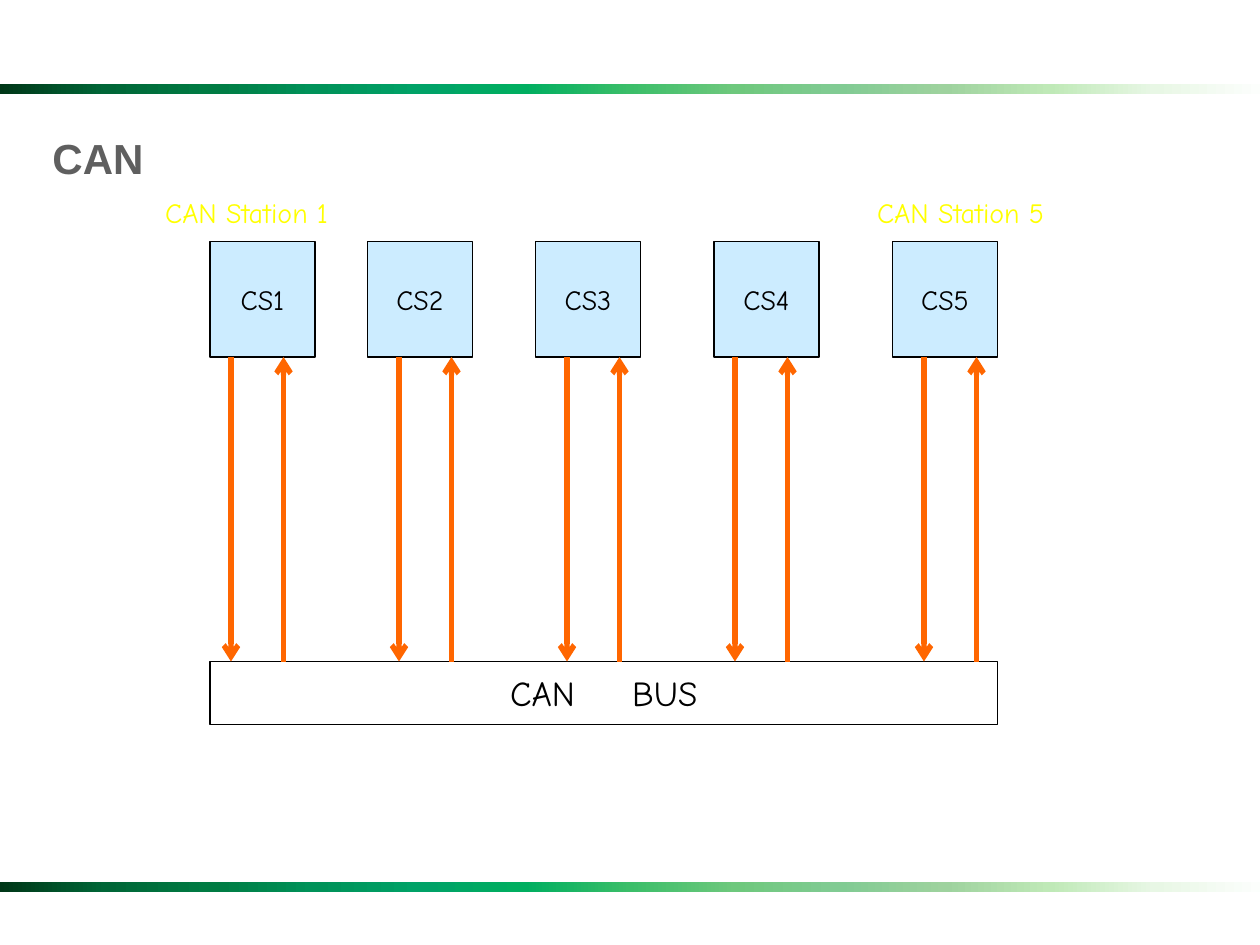
import itertools

import pptx
import pptx.util
import pptx.dml.color
import pptx.enum.shapes
import pptx.enum.text
import pptx.oxml.ns
from lxml import etree

RGB = pptx.dml.color.RGBColor
BLACK = RGB(0x00, 0x00, 0x00)
WHITE = RGB(0xFF, 0xFF, 0xFF)
GREY = RGB(0x5F, 0x5F, 0x5F)
YELLOW = RGB(0xFF, 0xFF, 0x00)
ORANGE = RGB(0xFF, 0x66, 0x00)
LIGHT_BLUE = RGB(0xCC, 0xEC, 0xFF)
BAND_COLORS = [RGB.from_string(code) for code in (
    "003718", "006637", "007B43", "009259", "00A267", "00AE60", "3BBE69",
    "6EC87D", "81CB93", "9ED29E", "BFE9B7", "E8F7E5", "FCFEFC")]

COLUMNS, ROWS = 120, 90
BUS_TOP, STATION_TOP, STATION_HEIGHT = 63, 23, 11
STATION_LEFTS = (20, 35, 51, 68, 85)
SEND_COLUMNS = (22, 38, 54, 70, 88)
RECEIVE_OFFSET = 5


class Diagram:
    """Draws on one slide; all places are columns and rows of the grid."""
    body_font = "Comic Neue"
    title_font = "Arial"

    def __init__(self, presentation):
        self.slide = presentation.slides.add_slide(presentation.slide_layouts[6])
        self.column = presentation.slide_width / COLUMNS
        self.row = presentation.slide_height / ROWS

    def place(self, left, top, width, height):
        return (round(left * self.column), round(top * self.row),
                round(width * self.column), round(height * self.row))

    def rectangle(self, *cells):
        shape = self.slide.shapes.add_shape(
            pptx.enum.shapes.MSO_SHAPE.RECTANGLE, *self.place(*cells))
        shape.shadow.inherit = False
        return shape

    def style_runs(self, frame, size, color, font, bold=False):
        for run in frame.paragraphs[0].runs:
            run.font.size = pptx.util.Pt(size)
            run.font.color.rgb = color
            run.font.name = font
            run.font.bold = bold

    def band(self, top):
        """A full-width strip that blends through the band colours."""
        width = COLUMNS / (len(BAND_COLORS) - 1)
        for index, colors in enumerate(itertools.pairwise(BAND_COLORS)):
            piece = self.rectangle(index * width, top, width, 1)
            piece.line.fill.background()
            piece.fill.gradient()
            piece.fill.gradient_angle = 0
            for stop, color in zip(piece.fill.gradient_stops, colors):
                stop.color.rgb = color

    def box(self, words, size, fill, *cells, word_gap=0):
        """A framed box; word_gap widens the spaces between words, in points."""
        shape = self.rectangle(*cells)
        shape.fill.solid()
        shape.fill.fore_color.rgb = fill
        shape.line.color.rgb = BLACK
        shape.line.width = pptx.util.Pt(1)
        frame = shape.text_frame
        frame.word_wrap = False
        frame.vertical_anchor = pptx.enum.text.MSO_ANCHOR.MIDDLE
        paragraph = frame.paragraphs[0]
        paragraph.alignment = pptx.enum.text.PP_ALIGN.CENTER
        for index, word in enumerate(words.split()):
            if index:
                space = paragraph.add_run()
                space.text = " "
                space.font._element.set("spc", str(word_gap * 100))
            paragraph.add_run().text = word
        self.style_runs(frame, size, BLACK, self.body_font)
        return shape

    def text(self, words, *cells):
        frame = self.slide.shapes.add_textbox(*self.place(*cells)).text_frame
        frame.word_wrap = True
        frame.text = words
        return frame

    def title(self, words, *cells):
        frame = self.text(words, *cells)
        frame.margin_left = 0
        self.style_runs(frame, 24, GREY, self.title_font, bold=True)

    def label(self, words, *cells):
        frame = self.text(words, *cells)
        frame.paragraphs[0].alignment = pptx.enum.text.PP_ALIGN.CENTER
        self.style_runs(frame, 16, YELLOW, self.body_font)

    def arrow(self, column, start_row, end_row):
        x, start, _, end = self.place(column, start_row, 0, end_row)
        connector = self.slide.shapes.add_connector(
            pptx.enum.shapes.MSO_CONNECTOR.STRAIGHT, x, start, x, end)
        connector.line.color.rgb = ORANGE
        connector.line.width = pptx.util.Pt(3)
        qn = pptx.oxml.ns.qn
        etree.SubElement(connector.line._get_or_add_ln(), qn("a:tailEnd"), type="arrow")
        etree.SubElement(connector._element.spPr, qn("a:effectLst"))


def main():
    presentation = pptx.Presentation()
    presentation.slide_width = pptx.util.Inches(10)
    presentation.slide_height = pptx.util.Inches(7.5)
    diagram = Diagram(presentation)

    for band_top in (8, 84):
        diagram.band(band_top)
    diagram.title("CAN", 5, 12, 110, 6)

    diagram.box("CAN BUS", 20, WHITE, 20, BUS_TOP, 75, 6, word_gap=26)
    for number, left in enumerate(STATION_LEFTS, start=1):
        diagram.box(f"CS{number}", 16, LIGHT_BLUE, left, STATION_TOP, 10, STATION_HEIGHT)
    for number, left in ((1, 12), (5, 80)):
        diagram.label(f"CAN Station {number}", left, 18, 23, 4.4)

    station_bottom = STATION_TOP + STATION_HEIGHT
    for column in SEND_COLUMNS:
        diagram.arrow(column, station_bottom, BUS_TOP)
        diagram.arrow(column + RECEIVE_OFFSET, BUS_TOP, station_bottom)

    presentation.save("out.pptx")


if __name__ == "__main__":
    main()
